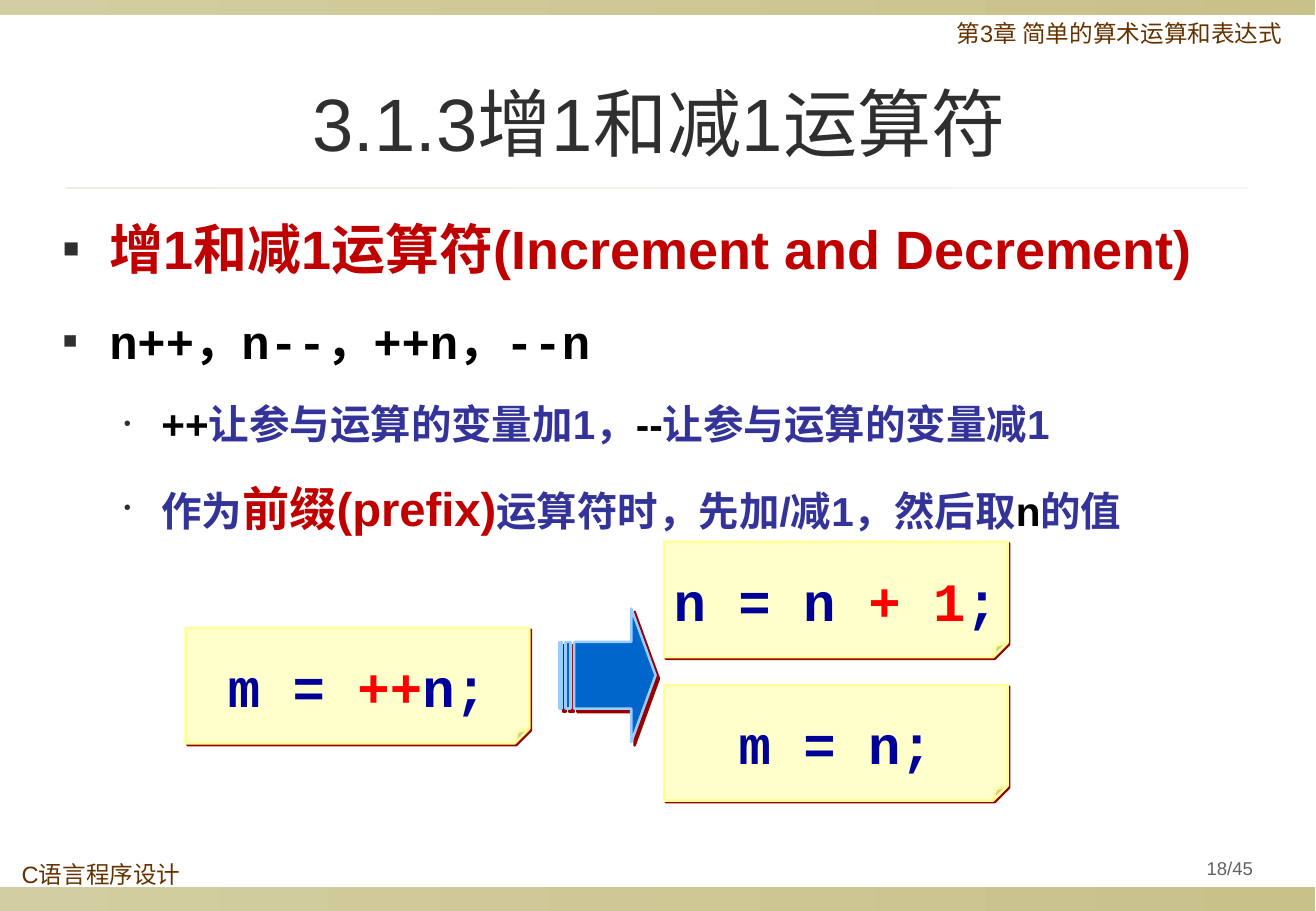
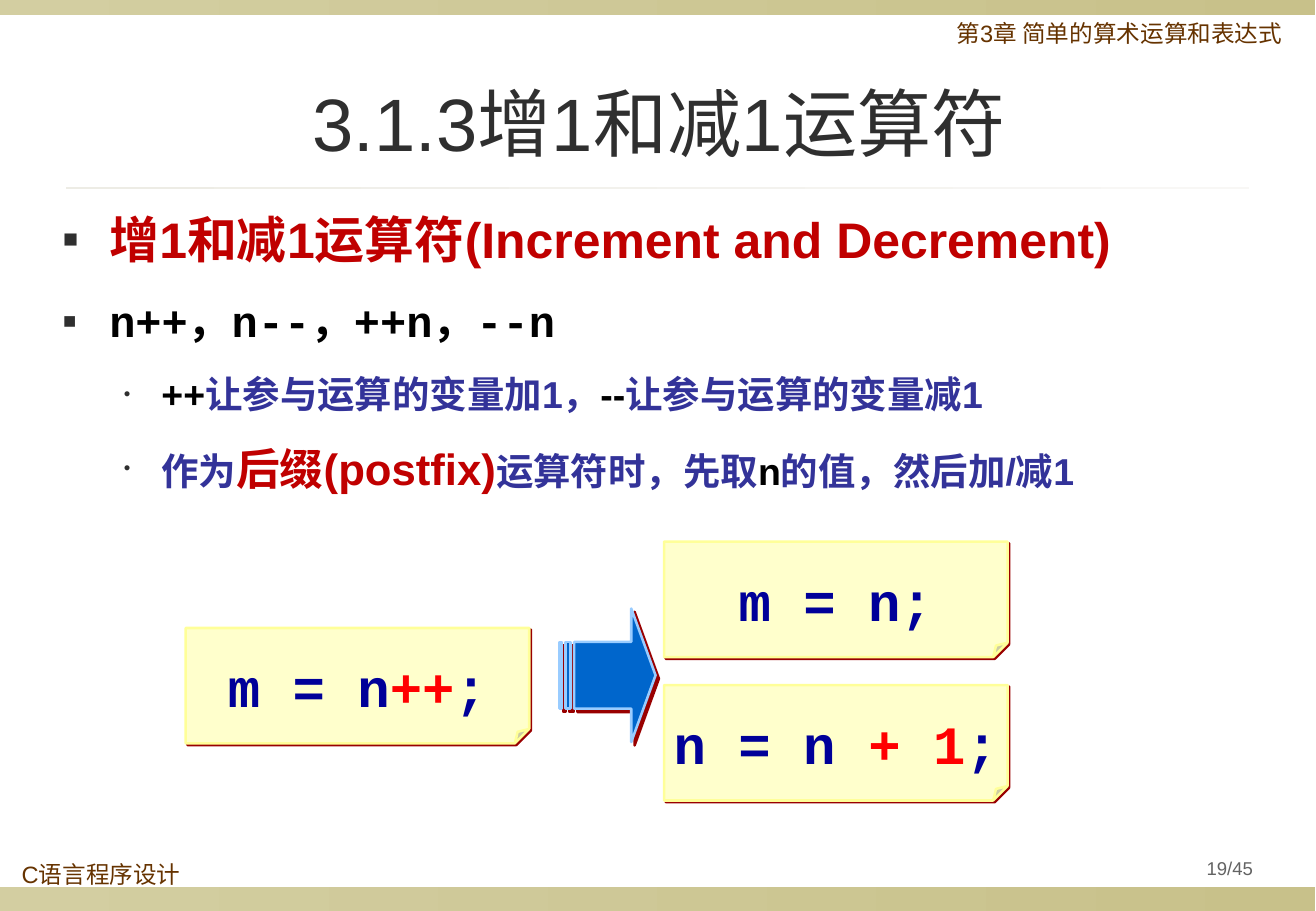
import lxml.etree
import pptx
import pptx.dml.color
import pptx.enum.dml
import pptx.enum.shapes
import pptx.enum.text
import pptx.oxml.ns
import pptx.util

COLORS = {
    "band_start": "D3CEA1", "band_end": "C8C18A",
    "rule_start": "EDECE5", "rule_end": "F8F7F5",
    "header": "663300", "number": "636363", "title": "2F2F2F",
    "accent": "C00000", "body": "333399", "black": "000000",
    "code": "000099", "operator": "FF0000",
    "note": "FFFFCC", "note_edge": "FFFF99",
    "arrow": "0066CC", "arrow_edge": "99CCFF", "shadow": "990000",
}
WIDTH, HEIGHT = 10.84, 7.5
BAND_WIDTH = 10.83
CODE_FONT = "Courier New"
TITLE = "3.1.3增1和减1运算符"
NOTE_SIZE = (2.83, 0.95)
ALIGN = pptx.enum.text.PP_ALIGN
ANCHOR = pptx.enum.text.MSO_ANCHOR


def rgb(name):
    """Return the named colour of the palette."""
    return pptx.dml.color.RGBColor.from_string(COLORS[name])


def inches(box):
    """Convert a sequence of numbers to lengths."""
    return [pptx.util.Inches(value) for value in box]


def write(paragraph, text, size, color, font="Arial", bold=False):
    """Append a formatted run to a paragraph."""
    run = paragraph.add_run()
    run.text = text
    run.font.size = pptx.util.Pt(size)
    run.font.name = font
    run.font.bold = bold
    run.font.color.rgb = rgb(color)


def set_insets(frame, left, top, right, bottom):
    """Set the four inner margins of a text frame."""
    frame.margin_left, frame.margin_top, frame.margin_right, frame.margin_bottom = inches(
        (left, top, right, bottom))


def add_band(slide, box, start, end):
    """Draw a horizontal bar with a left-to-right gradient."""
    band = slide.shapes.add_shape(pptx.enum.shapes.MSO_SHAPE.RECTANGLE, *inches(box))
    band.shadow.inherit = False
    band.line.fill.background()
    band.fill.gradient()
    band.fill.gradient_angle = 0
    for stop, name in zip(band.fill.gradient_stops, (start, end)):
        stop.color.rgb = rgb(name)


def add_label(slide, box, text, size, color, align=ALIGN.LEFT, anchor=ANCHOR.TOP):
    """Add a small line of header or footer text."""
    frame = slide.shapes.add_textbox(*inches(box)).text_frame
    frame.word_wrap = True
    frame.vertical_anchor = anchor
    paragraph = frame.paragraphs[0]
    paragraph.alignment = align
    paragraph.line_spacing = 0.9
    write(paragraph, text, size, color)


def add_frame(slide, number):
    """Draw the bands, rule, running labels and page number."""
    add_band(slide, (0, 7.3, BAND_WIDTH, 0.2), "band_start", "band_end")
    add_band(slide, (0, 0, BAND_WIDTH, 0.12), "band_start", "band_end")
    add_band(slide, (0.54, 1.54, 9.75, 0.02), "rule_start", "rule_end")
    add_label(slide, (0.08, 7.06, 2.35, 0.44), "C语言程序设计", 14, "header")
    add_label(slide, (7.78, 0.13, 3.05, 0.39), "第3章 简单的算术运算和表达式", 14, "header")
    add_label(slide, (9.59, 7, 1.08, 0.31), number, 11, "number", ALIGN.CENTER, ANCHOR.MIDDLE)


def place_placeholder(placeholder, box, anchor):
    """Move a placeholder to its box and return its text frame."""
    placeholder.left, placeholder.top, placeholder.width, placeholder.height = inches(box)
    frame = placeholder.text_frame
    frame.word_wrap = True
    frame.auto_size = pptx.enum.text.MSO_AUTO_SIZE.NONE
    frame.vertical_anchor = anchor
    return frame


def fill_title(slide, box):
    """Write the section title."""
    frame = place_placeholder(slide.shapes.title, box, ANCHOR.MIDDLE)
    paragraph = frame.paragraphs[0]
    paragraph.alignment = ALIGN.CENTER
    write(paragraph, TITLE, 44, "title")


def set_bullet(paragraph, mark, margin, hanging):
    """Give a paragraph its bullet and hanging indent."""
    properties = paragraph._p.get_or_add_pPr()
    properties.set("marL", str(pptx.util.Inches(margin)))
    properties.set("indent", str(-pptx.util.Inches(hanging)))
    qn = pptx.oxml.ns.qn
    color = lxml.etree.SubElement(properties, qn("a:buClr"))
    lxml.etree.SubElement(color, qn("a:srgbClr"), val=COLORS["title"])
    lxml.etree.SubElement(properties, qn("a:buSzPct"), val="50000")
    lxml.etree.SubElement(properties, qn("a:buFont"), typeface="Arial")
    lxml.etree.SubElement(properties, qn("a:buChar"), char=mark)


def fill_body(slide, box, sizes, spacing, usage):
    """Write the bulleted explanation of the operators."""
    large, medium, small = sizes
    lines = [
        (0, [("增1和减1运算符(Increment and Decrement)", large, "accent")]),
        (0, [("n++，n--，++n，--n", medium, "black", CODE_FONT)]),
        (1, [("++", small, "black"), ("让参与运算的变量加1，", small, "body"),
             ("--", small, "black"), ("让参与运算的变量减1", small, "body")]),
        (1, [(text, medium if color == "accent" else small, color) for text, color in usage]),
    ]
    frame = place_placeholder(slide.placeholders[1], box, ANCHOR.TOP)
    for index, (level, runs) in enumerate(lines):
        paragraph = frame.add_paragraph() if index else frame.paragraphs[0]
        paragraph.level = level
        paragraph.line_spacing = spacing
        paragraph.space_before = paragraph.space_after = pptx.util.Pt(6)
        set_bullet(paragraph, *(("•", 0.81, 0.31) if level else ("■", 0.38, 0.38)))
        for run in runs:
            write(paragraph, *run, bold=True)


def style_raised(shape, fill, edge, distance):
    """Apply fill, outline and a hard diagonal shadow."""
    shape.fill.solid()
    shape.fill.fore_color.rgb = rgb(fill)
    shape.line.color.rgb = rgb(edge)
    shape.line.width = pptx.util.Pt(1.5)
    shape.shadow.inherit = False
    qn = pptx.oxml.ns.qn
    effects = shape._element.spPr.find(qn("a:effectLst"))
    shadow = lxml.etree.SubElement(
        effects, qn("a:outerShdw"), dist=str(pptx.util.Pt(distance)), dir="2700000",
        algn="ctr", rotWithShape="0")
    lxml.etree.SubElement(shadow, qn("a:srgbClr"), val=COLORS["shadow"])


def set_fold(note, share):
    """Set the folded corner's share of the note's shorter side."""
    qn = pptx.oxml.ns.qn
    geometry = note._element.spPr.find(qn("a:prstGeom"))
    guides = geometry.find(qn("a:avLst"))
    if guides is None:
        guides = lxml.etree.SubElement(geometry, qn("a:avLst"))
    lxml.etree.SubElement(guides, qn("a:gd"), name="adj", fmla=f"val {round(share * 100000)}")


def add_note(slide, left, top, code):
    """Add a folded note holding one statement."""
    note = slide.shapes.add_shape(
        pptx.enum.shapes.MSO_SHAPE.FOLDED_CORNER, *inches((left, top, *NOTE_SIZE)))
    set_fold(note, 1 / 8)
    style_raised(note, "note", "note_edge", 1.4)
    frame = note.text_frame
    set_insets(frame, 0, 0.12, 0, 0)
    frame.word_wrap = False
    frame.vertical_anchor = ANCHOR.MIDDLE
    paragraph = frame.paragraphs[0]
    paragraph.alignment = ALIGN.CENTER
    for text, color in code:
        write(paragraph, text, 32, color, CODE_FONT, bold=True)


def add_striped_arrow(slide, box):
    """Draw a right arrow with two stripes at its tail."""
    left, top, width, height = box
    head, tip = left + 0.59, left + width
    upper, lower, bottom = top + height / 4, top + height * 3 / 4, top + height
    tail = left + 0.12
    outlines = [[(head, top), (head, upper), (tail, upper), (tail, lower),
                 (head, lower), (head, bottom), (tip, top + height / 2)]]
    for start, end in ((0.05, 0.09), (0, 0.02)):
        outlines.append([(left + start, upper), (left + start, lower),
                         (left + end, lower), (left + end, upper)])
    builder = slide.shapes.build_freeform(*inches(outlines[0][0]))
    for index, outline in enumerate(outlines):
        if index:
            builder.move_to(*inches(outline[0]))
        builder.add_line_segments([inches(point) for point in outline[1:]], close=True)
    style_raised(builder.convert_to_shape(), "arrow", "arrow_edge", 2.8)


def add_expansion(slide, box, statement, steps):
    """Show a statement and the two steps it stands for."""
    left, top = box[:2]
    add_note(slide, left, top + 0.71, statement)
    for index, step in enumerate(steps):
        add_note(slide, left + 3.94, top + index * 1.18, step)
    add_striped_arrow(slide, (left + 3.08, top + 0.55, 0.79, 1.1))


def build_slide(deck, number, sizes, spacing, usage, statement, steps):
    """Build one operator slide."""
    slide = deck.slides.add_slide(deck.slide_layouts[1])
    add_frame(slide, number)
    fill_title(slide, (0.81, 0.54, 9.24, 0.92))
    fill_body(slide, (0.42, 1.62, 10.24, 2.91), sizes, spacing, usage)
    add_expansion(slide, (1.53, 4.46, 6.77, 2.13), statement, steps)


def main():
    """Create and save the presentation."""
    deck = pptx.Presentation()
    deck.slide_width, deck.slide_height = inches((WIDTH, HEIGHT))
    increment = [("n = n ", "code"), ("+ 1", "operator"), (";", "code")]
    assignment = [("m = n;", "code")]
    build_slide(
        deck, "18/45", (32, 28, 24), 1.2,
        [("作为", "body"), ("前缀(prefix)", "accent"), ("运算符时，先加/减1，然后取", "body"),
         ("n", "black"), ("的值", "body")],
        [("m = ", "code"), ("++", "operator"), ("n;", "code")],
        [increment, assignment])
    build_slide(
        deck, "19/45", (29.6, 25.9, 22.2), 1.1,
        [("作为", "body"), ("后缀(postfix)", "accent"), ("运算符时，先取", "body"),
         ("n", "black"), ("的值，然后加/减1", "body")],
        [("m = n", "code"), ("++", "operator"), (";", "code")],
        [assignment, increment])
    deck.save("out.pptx")


if __name__ == "__main__":
    main()
